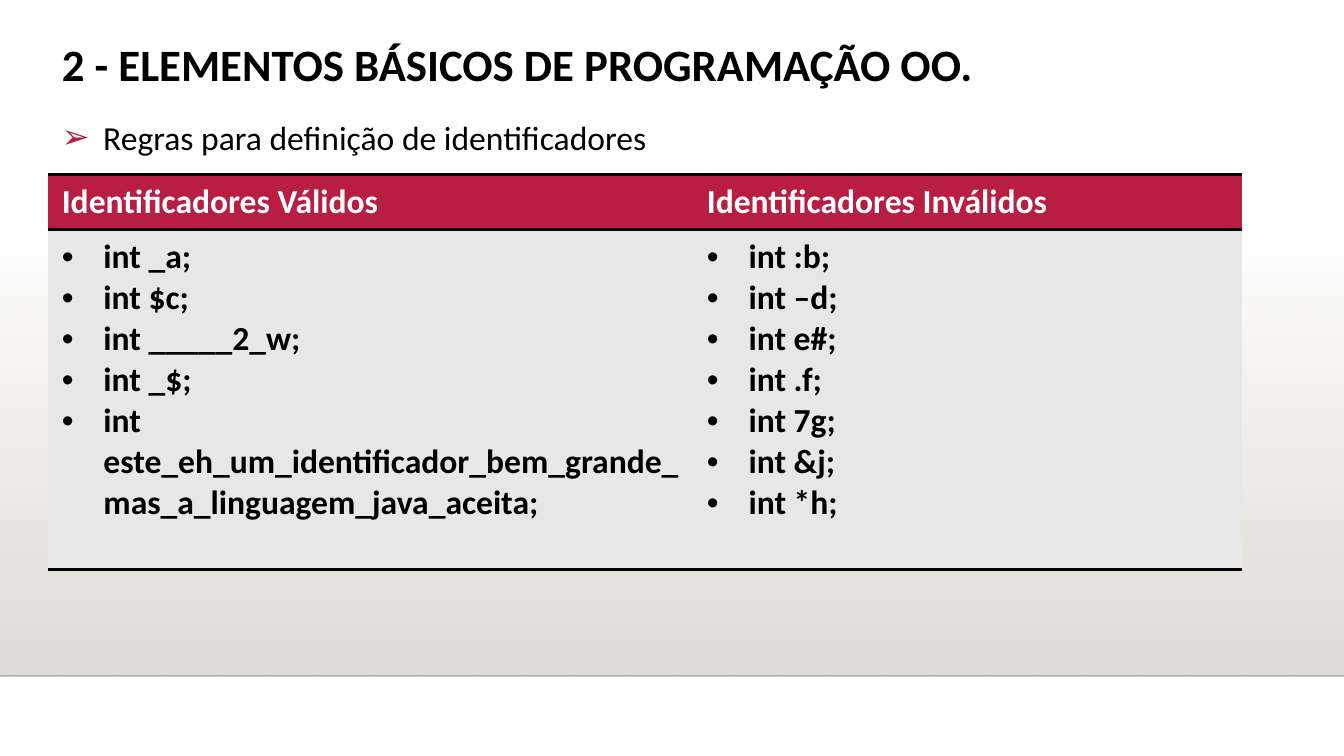
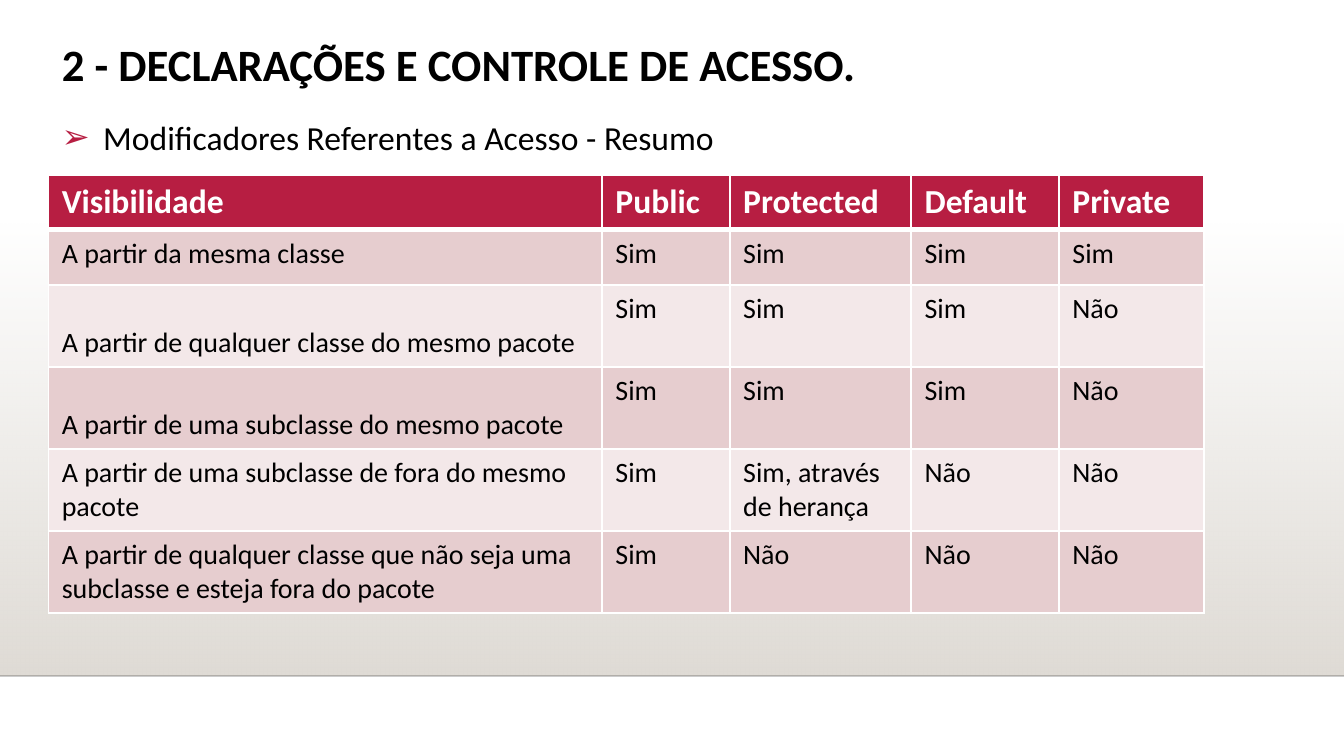
import pptx
import pptx.util
import pptx.dml.color
import pptx.enum.shapes
import pptx.enum.text
import pptx.oxml.ns
from lxml import etree

Inches = pptx.util.Inches
Pt = pptx.util.Pt
qn = pptx.oxml.ns.qn
ANCHOR = pptx.enum.text.MSO_ANCHOR
FONT = "Calibri"
PLAIN = "{2D5ABB26-0587-4C30-8999-92F81FD0307C}"
COLORS = {
    "ink": "000000", "white": "FFFFFF", "red": "B71E42", "sand": "DFDBD5",
    "gray": "E7E7E7", "rose": "E6CDCF", "pale": "F3E8E9", "rule": "000001",
}
BOXES = {
    "title": (0.36, 0.26, 8.88, 0.47), "topic": (0.36, 0.82, 8.88, 0.3),
    "band": (0, 1.66, 10, 3.37),
}


def rgb(name):
    return pptx.dml.color.RGBColor.from_string(COLORS[name])


def add(parent, tag, **attrs):
    return etree.SubElement(parent, qn(tag), attrs)


def place(shape, box):
    shape.left, shape.top, shape.width, shape.height = map(Inches, box)


def style(frame, size, color="ink", bold=False):
    for para in frame.paragraphs:
        for run in para.runs:
            font = run.font
            font.name, font.size, font.bold = FONT, Pt(size), bold
            font.color.rgb = rgb(color)


def bullet(para, mark, color):
    props = para._p.get_or_add_pPr()
    props.set("marL", str(Inches(0.31)))
    props.set("indent", str(-Inches(0.31)))
    add(add(props, "a:buClr"), "a:srgbClr", val=COLORS[color])
    add(props, "a:buFont", typeface="Arial")
    add(props, "a:buChar", char=mark)


def add_band(slide, box):
    left, top, width, height = box
    band = slide.shapes.add_shape(
        pptx.enum.shapes.MSO_SHAPE.RECTANGLE, *map(Inches, box))
    band.shadow.inherit = False
    band.line.fill.background()
    band.fill.gradient()
    band.fill.gradient_angle = 270
    for stop, pos in zip(band.fill.gradient_stops, (0, 1)):
        stop.color.rgb = rgb("sand")
        stop.position = pos
    clear = band._element.spPr.find(".//" + qn("a:srgbClr"))
    add(clear, "a:alpha", val="0")

    base = Inches(top + height)
    rule = slide.shapes.add_connector(
        pptx.enum.shapes.MSO_CONNECTOR.STRAIGHT,
        Inches(left), base, Inches(left + width), base)
    rule.line.width = Pt(1)
    rule.line.color.rgb = rgb("rule")
    props = rule._element.spPr
    add(props.find(".//" + qn("a:srgbClr")), "a:alpha", val="20000")
    add(props, "a:effectLst")


def add_title(slide, box, text):
    title = slide.shapes.title
    place(title, box)
    frame = title.text_frame
    frame.text = text
    frame.word_wrap = True
    frame.auto_size = pptx.enum.text.MSO_AUTO_SIZE.NONE
    frame.vertical_anchor = ANCHOR.MIDDLE
    para = frame.paragraphs[0]
    para.alignment = pptx.enum.text.PP_ALIGN.LEFT
    para.line_spacing = 0.9
    style(frame, 24, bold=True)


def add_topic(slide, box, text):
    frame = slide.shapes.add_textbox(*map(Inches, box)).text_frame
    frame.word_wrap = True
    frame.text = text
    bullet(frame.paragraphs[0], "➢", "red")
    style(frame, 18)


def add_edge(cell, side, color, width):
    line = add(cell._tc.get_or_add_tcPr(), "a:ln" + side, w=str(Pt(width)))
    add(add(line, "a:solidFill"), "a:srgbClr", val=COLORS[color])


def add_grid(slide, spot, cols, rows, cells):
    shape = slide.shapes.add_table(
        len(rows), len(cols), *map(Inches, (*spot, sum(cols), sum(rows))))
    grid = shape.table
    grid.first_row = grid.horz_banding = False
    grid._tbl.tblPr.find(qn("a:tableStyleId")).text = PLAIN
    for col, width in zip(grid.columns, cols):
        col.width = Inches(width)
    for row, height in zip(grid.rows, rows):
        row.height = Inches(height)
    for r, line in enumerate(cells):
        for c, text in enumerate(line):
            grid.cell(r, c).text_frame.text = text
    return grid


def paint(cell, fill, size, color, bold, edges):
    for edge in edges:
        add_edge(cell, *edge)
    cell.fill.solid()
    cell.fill.fore_color.rgb = rgb(fill)
    style(cell.text_frame, size, color, bold)


def add_names(slide, spot):
    good = ["int _a;", "int $c;", "int _____2_w;", "int _$;",
            "int este_eh_um_identificador_bem_grande_"
            "mas_a_linguagem_java_aceita;"]
    bad = [f"int {name};" for name in (":b", "–d", "e#", ".f", "7g", "&j", "*h")]
    grid = add_grid(slide, spot, [4.8, 4.08], [0.41, 2.53], [
        ["Identificadores Válidos", "Identificadores Inválidos"],
        ["\n".join(good), "\n".join(bad)]])
    edges = [("T", "ink", 2), ("B", "ink", 2)]
    for c in range(2):
        paint(grid.cell(0, c), "red", 18, "white", True, edges)
        body = grid.cell(1, c)
        paint(body, "gray", 18, "ink", True, edges)
        for para in body.text_frame.paragraphs:
            bullet(para, "•", "ink")


def add_access(slide, spot):
    yes, no = "Sim", "Não"
    cells = [
        ["Visibilidade", "Public", "Protected", "Default", "Private"],
        ["A partir da mesma classe", yes, yes, yes, yes],
        ["A partir de qualquer classe do mesmo pacote", yes, yes, yes, no],
        ["A partir de uma subclasse do mesmo pacote", yes, yes, yes, no],
        ["A partir de uma subclasse de fora do mesmo pacote",
         yes, "Sim, através de herança", no, no],
        ["A partir de qualquer classe que não seja uma subclasse "
         "e esteja fora do pacote", yes, no, no, no],
    ]
    grid = add_grid(slide, spot, [4.12, 0.95, 1.35, 1.1, 1.08],
                    [0.41] * 2 + [0.61] * 4, cells)
    for r in range(len(cells)):
        head = r == 0
        fill = "red" if head else ("pale", "rose")[r % 2]
        widths = {"L": 1, "R": 1, "T": 3 if r == 1 else 1, "B": 3 if head else 1}
        edges = [(side, "white", width) for side, width in widths.items()]
        for c in range(len(cells[0])):
            paint(grid.cell(r, c), fill, 18 if head else 15,
                  "white" if head else "ink", head, edges)
    for r in (2, 3):
        grid.cell(r, 0).vertical_anchor = ANCHOR.BOTTOM


def add_page(deck, title, topic, table):
    slide = deck.slides.add_slide(deck.slide_layouts[5])
    slide.background.fill.solid()
    slide.background.fill.fore_color.rgb = rgb("white")
    add_band(slide, BOXES["band"])
    add_title(slide, BOXES["title"], title)
    add_topic(slide, BOXES["topic"], topic)
    table(slide, (0.36, 1.3))


deck = pptx.Presentation()
deck.slide_width, deck.slide_height = Inches(10), Inches(10 * 9 / 16)
add_page(deck, "2 - ELEMENTOS BÁSICOS DE PROGRAMAÇÃO OO.",
         "Regras para definição de identificadores", add_names)
add_page(deck, "2 - DECLARAÇÕES E CONTROLE DE ACESSO.",
         "Modificadores Referentes a Acesso - Resumo", add_access)
deck.save("out.pptx")
